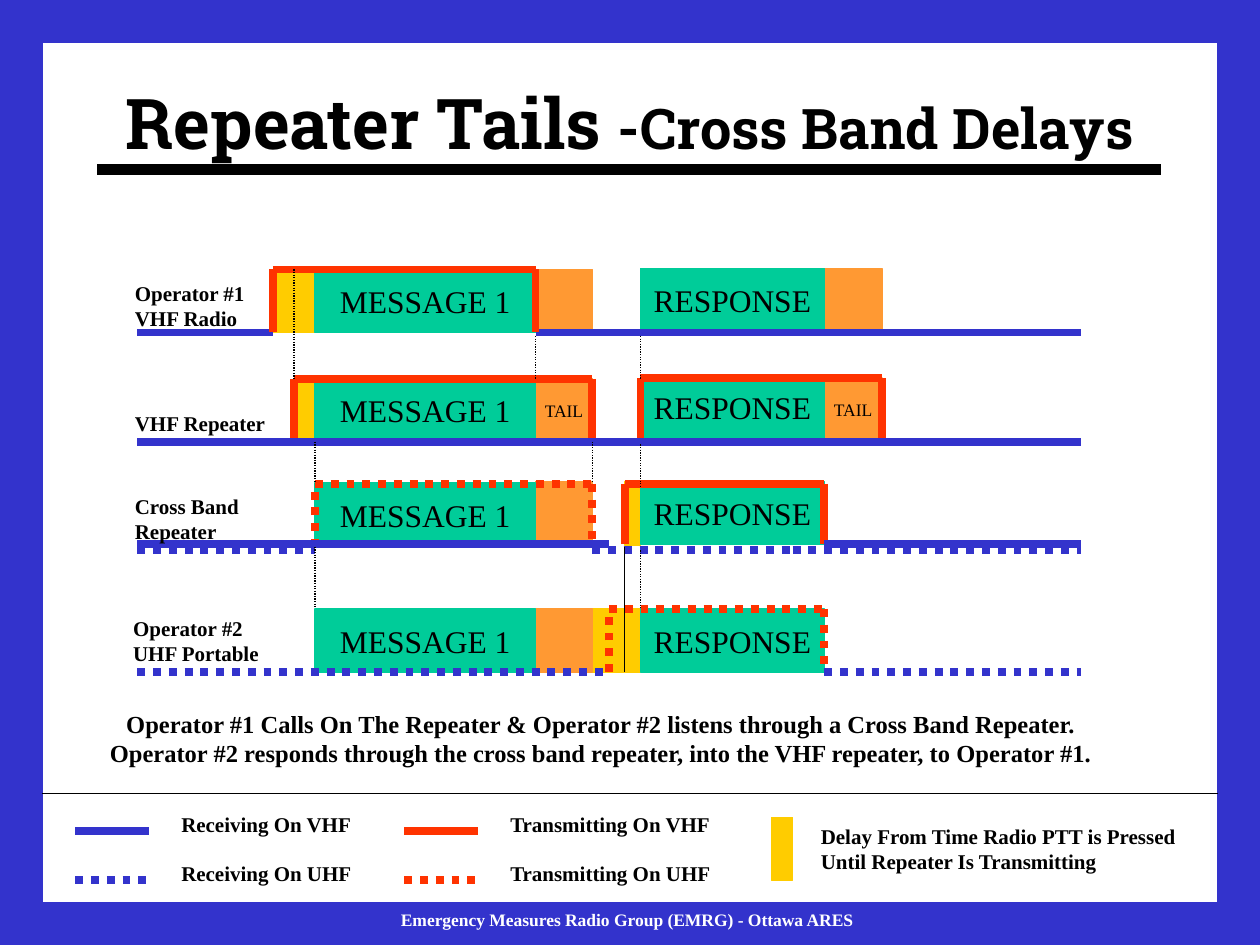
from lxml import etree
from pptx import Presentation
from pptx.dml.color import RGBColor
from pptx.enum import dml, shapes, text
from pptx.oxml import ns
from pptx.util import Pt

BLUE = RGBColor(0x33, 0x33, 0xCC)
RED = RGBColor(0xFF, 0x33, 0x00)
GREEN = RGBColor(0x00, 0xCC, 0x99)
ORANGE = RGBColor(0xFF, 0x99, 0x33)
YELLOW = RGBColor(0xFF, 0xCC, 0x00)
BLACK = RGBColor(0x00, 0x00, 0x00)
WHITE = RGBColor(0xFF, 0xFF, 0xFF)

LEFT, RIGHT = 78.5, 618
PRESS, VHF_UP, MESSAGE, MESSAGE_END, TAIL_END = 156, 168, 180, 306, 338.5
REPLY_PRESS, CROSS_UP, RESPONSE, RESPONSE_END, SECOND_TAIL_END = 348, 357, 366, 471, 504
ROW_HEIGHT = 36
OPERATOR_1, VHF_REPEATER, CROSS_BAND, OPERATOR_2 = 154, 216.5, 275.5, 348
CROSS_VHF, CROSS_UHF = 311, 314.5


def add_run(paragraph, content, size=12, font="Times New Roman", color=BLACK, bold=False):
    run = paragraph.add_run()
    run.text = content
    run.font.size = Pt(size)
    run.font.name = font
    run.font.bold = bold
    run.font.color.rgb = color


class TimingSlide:
    thick = 4.5
    thin = 0.75
    left_align = text.PP_ALIGN.LEFT
    centered = text.PP_ALIGN.CENTER

    def __init__(self, deck):
        self.slide = deck.slides.add_slide(deck.slide_layouts[5])

    def title(self, left, top, width, height, parts):
        heading = self.slide.shapes.title
        heading.left, heading.top = Pt(left), Pt(top)
        heading.width, heading.height = Pt(width), Pt(height)
        frame = heading.text_frame
        frame.word_wrap = True
        frame.auto_size = text.MSO_AUTO_SIZE.NONE
        frame.vertical_anchor = text.MSO_ANCHOR.MIDDLE
        paragraph = frame.paragraphs[0]
        paragraph.alignment = self.centered
        for content, size in parts:
            add_run(paragraph, content, size=size, font="Roboto Slab", bold=True)

    def box(self, left, top, right, color, label=None, size=18, height=ROW_HEIGHT):
        block = self.slide.shapes.add_shape(
            shapes.MSO_SHAPE.RECTANGLE, Pt(left), Pt(top), Pt(right - left), Pt(height))
        block.shadow.inherit = False
        block.fill.solid()
        block.fill.fore_color.rgb = color
        block.line.color.rgb = color
        block.line.width = Pt(self.thin)
        if label:
            frame = block.text_frame
            frame.word_wrap = False
            frame.vertical_anchor = text.MSO_ANCHOR.MIDDLE
            frame.paragraphs[0].alignment = self.centered
            add_run(frame.paragraphs[0], label, size=size)

    def line(self, x1, y1, x2, y2, color, dotted=False, width=thick):
        stroke = self.slide.shapes.add_connector(
            shapes.MSO_CONNECTOR.STRAIGHT, Pt(x1), Pt(y1), Pt(x2), Pt(y2))
        stroke.line.color.rgb = color
        stroke.line.width = Pt(width)
        if dotted:
            stroke.line.dash_style = dml.MSO_LINE.ROUND_DOT
        etree.SubElement(stroke._element.spPr, ns.qn("a:effectLst"))

    def transmit(self, start, end, top, bottom, dotted=False):
        self.line(start, bottom, start, top, RED, dotted)
        self.line(start, top, end, top, RED, dotted)
        self.line(end, top, end, bottom, RED, dotted)

    def receive(self, start, end, y, dotted=False):
        self.line(start, y, end, y, BLUE, dotted)

    def caption(self, left, top, width, height, lines, align=left_align, wrap=False, **style):
        holder = self.slide.shapes.add_textbox(Pt(left), Pt(top), Pt(width), Pt(height))
        frame = holder.text_frame
        frame.word_wrap = wrap
        frame.auto_size = text.MSO_AUTO_SIZE.SHAPE_TO_FIT_TEXT
        for index, content in enumerate(lines):
            paragraph = frame.add_paragraph() if index else frame.paragraphs[0]
            paragraph.alignment = align
            add_run(paragraph, content, bold=True, **style)


def draw_frame(page):
    for left, top, right, height in [
        (0, 0, 720, 24), (0, 516, 720, 24), (0, 24, 24, 492), (696, 24, 720, 492),
    ]:
        page.box(left, top, right, BLUE, height=height)
    page.line(55.5, 97, 663.5, 97, BLACK, width=6)
    page.caption(222, 516, 273.5, 19.5, ["Emergency Measures Radio Group (EMRG) - Ottawa ARES"],
                 size=10, color=WHITE)
    page.title(24, 24.5, 672, 90, [("Repeater Tails ", 40), ("-Cross Band Delays", 32)])


def draw_blocks(page):
    for start, end, top in [
        (PRESS, VHF_UP, OPERATOR_1), (VHF_UP, MESSAGE, OPERATOR_1),
        (VHF_UP, MESSAGE, VHF_REPEATER), (CROSS_UP, RESPONSE, CROSS_BAND),
        (TAIL_END, REPLY_PRESS, OPERATOR_2), (REPLY_PRESS, CROSS_UP, OPERATOR_2),
        (CROSS_UP, RESPONSE, OPERATOR_2),
    ]:
        page.box(start, top, end, YELLOW)
    for start, end, top, label in [
        (MESSAGE_END, TAIL_END, OPERATOR_1, None),
        (RESPONSE_END, SECOND_TAIL_END, OPERATOR_1 - 0.5, None),
        (MESSAGE_END, TAIL_END, VHF_REPEATER, "TAIL"),
        (RESPONSE_END, SECOND_TAIL_END, VHF_REPEATER - 0.5, "TAIL"),
        (MESSAGE_END, TAIL_END, CROSS_BAND - 0.5, None),
        (MESSAGE_END, TAIL_END, OPERATOR_2, None),
    ]:
        page.box(start, top, end, ORANGE, label, size=10)
    for message_top, response_top in [
        (OPERATOR_1, OPERATOR_1 - 0.5), (VHF_REPEATER, VHF_REPEATER - 2),
        (CROSS_BAND + 0.5, CROSS_BAND - 0.5), (OPERATOR_2, OPERATOR_2),
    ]:
        page.box(MESSAGE, message_top, MESSAGE_END, GREEN, "MESSAGE 1")
        page.box(RESPONSE, response_top, RESPONSE_END, GREEN, "RESPONSE")


def draw_signals(page):
    operator_1_base, vhf_base, operator_2_base = (
        top + ROW_HEIGHT for top in (OPERATOR_1, VHF_REPEATER, OPERATOR_2))
    page.receive(LEFT, PRESS, operator_1_base)
    page.receive(MESSAGE_END, RIGHT, operator_1_base)
    page.transmit(PRESS, MESSAGE_END, OPERATOR_1, operator_1_base)

    page.transmit(VHF_UP, TAIL_END, VHF_REPEATER, vhf_base)
    page.transmit(RESPONSE, SECOND_TAIL_END, VHF_REPEATER - 0.5, vhf_base)
    page.receive(LEFT, RIGHT, vhf_base)

    page.transmit(MESSAGE, TAIL_END, CROSS_BAND + 1, CROSS_VHF + 1.5, dotted=True)
    page.transmit(CROSS_UP, RESPONSE_END, CROSS_BAND + 1, CROSS_VHF)
    page.receive(LEFT, REPLY_PRESS, CROSS_VHF)
    for start, end in [(LEFT, MESSAGE), (TAIL_END, 453), (453, RIGHT)]:
        page.receive(start, end, CROSS_UHF, dotted=True)
    page.receive(RESPONSE_END, RIGHT, CROSS_VHF)

    page.receive(LEFT, REPLY_PRESS, operator_2_base, dotted=True)
    page.receive(RESPONSE_END, RIGHT, operator_2_base, dotted=True)
    page.transmit(REPLY_PRESS, RESPONSE_END, OPERATOR_2, operator_2_base, dotted=True)

    for x, top, bottom in [
        (VHF_UP, OPERATOR_1, VHF_REPEATER), (MESSAGE_END, 192, VHF_REPEATER),
        (RESPONSE, 192, VHF_REPEATER), (MESSAGE, vhf_base, CROSS_BAND),
        (TAIL_END, vhf_base, CROSS_BAND), (RESPONSE, 254, 278),
        (MESSAGE, 312.5, 346.5), (RESPONSE, CROSS_UHF, OPERATOR_2),
    ]:
        page.line(x, top, x, bottom, BLACK, dotted=True, width=page.thin)
    page.line(CROSS_UP, 312.5, CROSS_UP, operator_2_base, BLACK, width=page.thin)


def draw_captions(page):
    for left, top, width, lines in [
        (70, 156.5, 77, ["Operator #1", "VHF Radio"]),
        (70, 231, 89.5, ["VHF Repeater"]),
        (70, 278.5, 74, ["Cross Band", "Repeater"]),
        (69, 348, 86.5, ["Operator #2", "UHF Portable"]),
    ]:
        page.caption(left, top, width, 7.2 + 14.4 * len(lines), lines)
    page.caption(53, 401.5, 581, 41, [
        "Operator #1 Calls On The Repeater & Operator #2 listens through a Cross Band Repeater.",
        "Operator #2 responds through the cross band repeater, into the VHF repeater, to Operator #1.",
    ], align=page.centered, size=14)


def draw_legend(page):
    page.line(24, 453.5, 696, 453.5, BLACK, width=page.thin)
    for band, y, dotted in [("VHF", 475, False), ("UHF", 503, True)]:
        for action, left, width, color in [
            ("Receiving", 43, 111.5, BLUE), ("Transmitting", 231, 129.5, RED),
        ]:
            page.line(left, y, left + 42, y, color, dotted)
            page.caption(left + 53.5, y - 15, width, 21.6, [f"{action} On {band}"])
    page.box(441, 467, 453, YELLOW)
    page.caption(462, 467, 222, 36,
                 ["Delay From Time Radio PTT is Pressed", "Until Repeater Is Transmitting"],
                 wrap=True)


def main():
    deck = Presentation()
    deck.slide_width, deck.slide_height = Pt(720), Pt(540)
    page = TimingSlide(deck)
    for draw in (draw_frame, draw_blocks, draw_signals, draw_captions, draw_legend):
        draw(page)
    deck.save("out.pptx")


if __name__ == "__main__":
    main()
